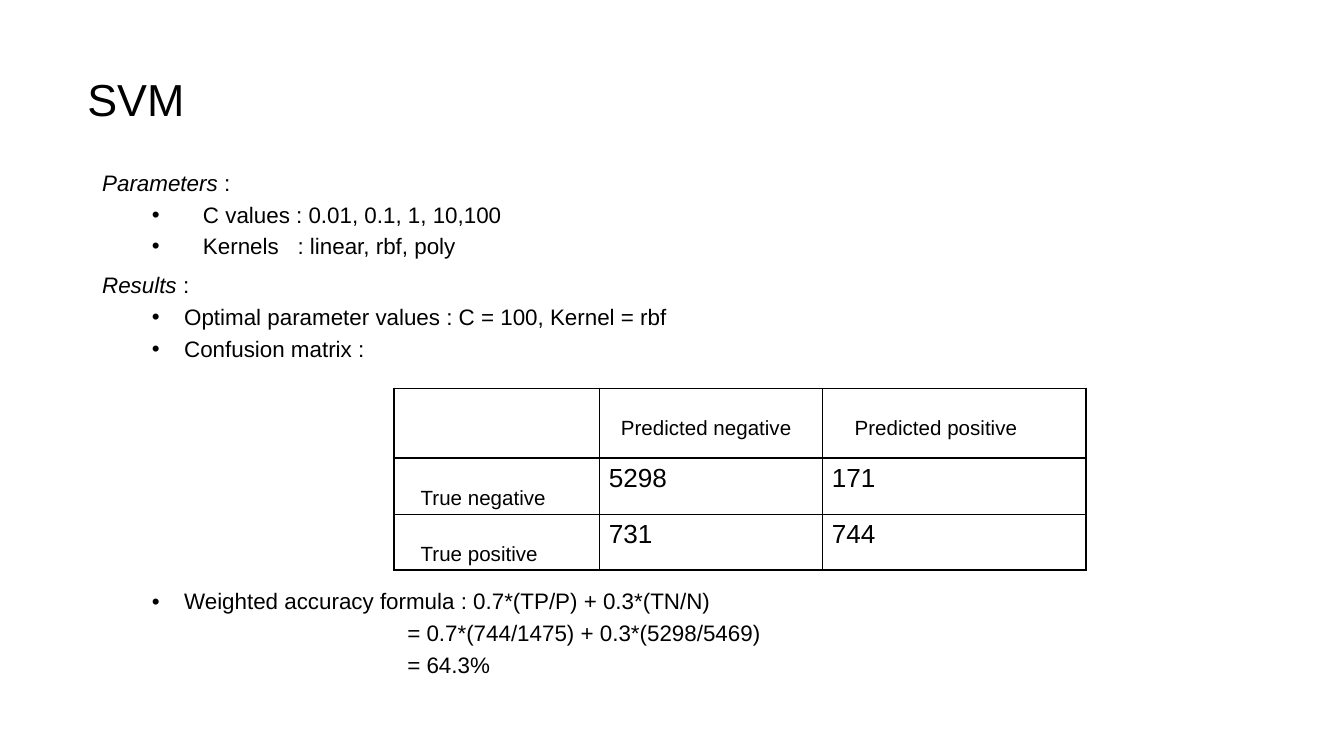
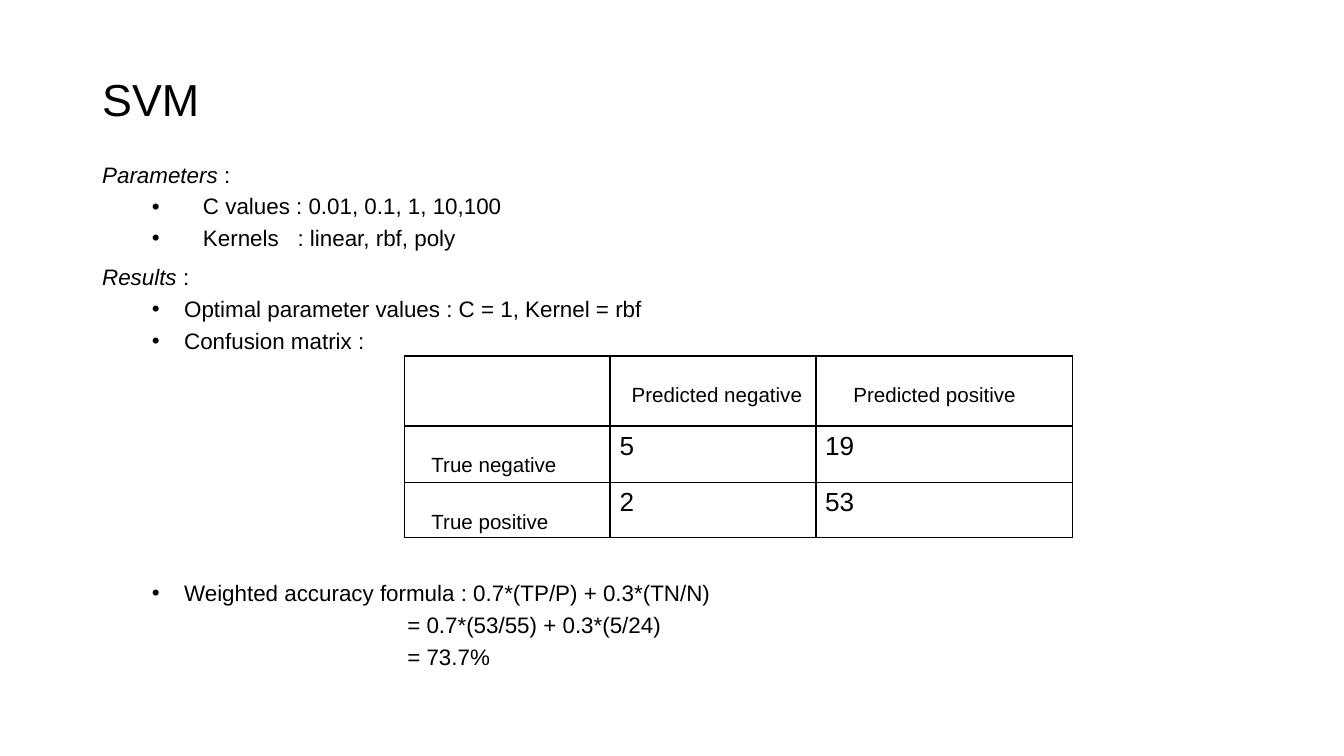
from pptx import Presentation
from pptx.dml.color import RGBColor as Rgb
from pptx.enum.text import MSO_ANCHOR as Anchor, MSO_AUTO_SIZE as Auto, PP_ALIGN as Align
from pptx.oxml.ns import qn
from pptx.util import Inches, Pt
from lxml.etree import SubElement as Sub

HUES = {"ink": "000000", "page": "FFFFFF"}
FONT = "Arial"
WIDE = 10
ROWS = (0.52, 0.42, 0.41)
HEADS = ("Predicted negative", "Predicted positive")
SIDES = ("True negative", "True positive")


def add_run(para, text, size, slant=False, track=0):
    run = para.add_run()
    run.text = text
    font = run.font
    font.name, font.size, font.italic = FONT, Pt(size), slant
    font.color.rgb = Rgb.from_string(HUES["ink"])
    if track:
        run._r.get_or_add_rPr().set("spc", str(track))


def place(shape, left, top, width, height):
    shape.left, shape.top = Inches(left), Inches(top)
    shape.width, shape.height = Inches(width), Inches(height)
    frame = shape.text_frame
    frame.margin_left = frame.margin_right = Inches(0.07)
    frame.margin_top = frame.margin_bottom = Inches(0.04)
    frame.word_wrap, frame.auto_size = True, Auto.NONE
    return frame


def add_title(slide, left):
    frame = place(slide.shapes.title, left, 0.51, 8.85 - left, 0.5)
    frame.vertical_anchor = Anchor.MIDDLE
    para = frame.paragraphs[0]
    para.alignment, para.line_spacing = Align.LEFT, 0.9
    add_run(para, "SVM", 24)


def add_line(frame, runs, left=0, hang=0, gap=4):
    para = frame.paragraphs[0]
    if para.runs:
        para = frame.add_paragraph()
    para.level = 1 if left else 0
    para.alignment, para.line_spacing = Align.LEFT, 0.9
    para.space_before, para.space_after = Pt(gap), Pt(0)
    props = para._p.get_or_add_pPr()
    props.set("marL", str(Inches(left)))
    props.set("indent", str(Inches(-hang)))
    if hang:
        Sub(Sub(props, qn("a:buClr")), qn("a:srgbClr")).set("val", HUES["ink"])
        Sub(props, qn("a:buFont")).set("typeface", FONT)
        Sub(props, qn("a:buChar")).set("char", "•")
    else:
        Sub(props, qn("a:buNone"))
    for text, *style in runs:
        add_run(para, text, 12, *style)


def add_body(slide, top, cost, sums):
    frame = place(slide.placeholders[1], 0.69, top, 8.62, 4.27)

    def head(word, gap):
        add_line(frame, [(f"{word} ", True), (":",)], gap=gap)

    def item(text, gap=4):
        add_line(frame, [(text,)], 0.61, 0.24, gap)

    head("Parameters", 0)
    add_line(frame, [("C values : 0.01, 0.1, 1, 10,100",)], 0.75, 0.38)
    add_line(frame, [("Kernels",), (" ", False, 667), (": linear, rbf, poly",)], 0.75, 0.38)
    head("Results", 8)
    item(f"Optimal parameter values : C = {cost}, Kernel = rbf")
    item("Confusion matrix :")
    item("Weighted accuracy formula : 0.7*(TP/P) + 0.3*(TN/N)", 122.5)
    for text in sums:
        add_line(frame, [(text,)], 2.27)


def style_cell(cell):
    props = cell._tc.get_or_add_tcPr()
    for side in ("L", "R", "T", "B"):
        line = Sub(props, qn(f"a:ln{side}"))
        line.set("w", str(Pt(1)))
        Sub(Sub(line, qn("a:solidFill")), qn("a:srgbClr")).set("val", HUES["ink"])
    cell.fill.background()


def fill_cell(cell, text, size, left=0.07, top=0.04):
    cell.margin_left, cell.margin_right = Inches(left), Inches(0.04)
    cell.margin_top, cell.margin_bottom = Inches(top), Inches(0)
    add_run(cell.text_frame.paragraphs[0], text, size)


def add_grid(slide, left, top, cols, inset, counts):
    shape = slide.shapes.add_table(
        3, 3, Inches(left), Inches(top), Inches(sum(cols)), Inches(sum(ROWS)))
    table = shape.table
    table.first_row = table.horz_banding = False
    for col, width in zip(table.columns, cols):
        col.width = Inches(width)
    for row, height in zip(table.rows, ROWS):
        row.height = Inches(height)
    for cell in table.iter_cells():
        style_cell(cell)
    for c, (text, pad) in enumerate(zip(HEADS, (0.16, inset)), 1):
        fill_cell(table.cell(0, c), text, 11, pad, 0.21)
    for r, (text, nums) in enumerate(zip(SIDES, counts), 1):
        fill_cell(table.cell(r, 0), text, 11, 0.2, 0.21)
        for c, num in enumerate(nums, 1):
            fill_cell(table.cell(r, c), str(num), 14)


def add_page(deck, edge, top, cost, sums, grid):
    slide = deck.slides.add_slide(deck.slide_layouts[1])
    back = slide.background.fill
    back.solid()
    back.fore_color.rgb = Rgb.from_string(HUES["page"])
    add_title(slide, edge)
    add_body(slide, top, cost, sums)
    add_grid(slide, *grid)


def main():
    deck = Presentation()
    deck.slide_width, deck.slide_height = Inches(WIDE), Inches(WIDE * 9 / 16)
    add_page(deck, 0.58, 1.24, 100,
             ("= 0.7*(744/1475) + 0.3*(5298/5469)", "= 64.3%"),
             (2.93, 2.89, (1.53, 1.66, 1.96), 0.24, ((5298, 171), (731, 744))))
    add_page(deck, 0.69, 1.18, 1,
             ("= 0.7*(53/55) + 0.3*(5/24)", "= 73.7%"),
             (3.01, 2.65, (1.53, 1.53, 1.91), 0.28, ((5, 19), (2, 53))))
    deck.save("out.pptx")


if __name__ == "__main__":
    main()
